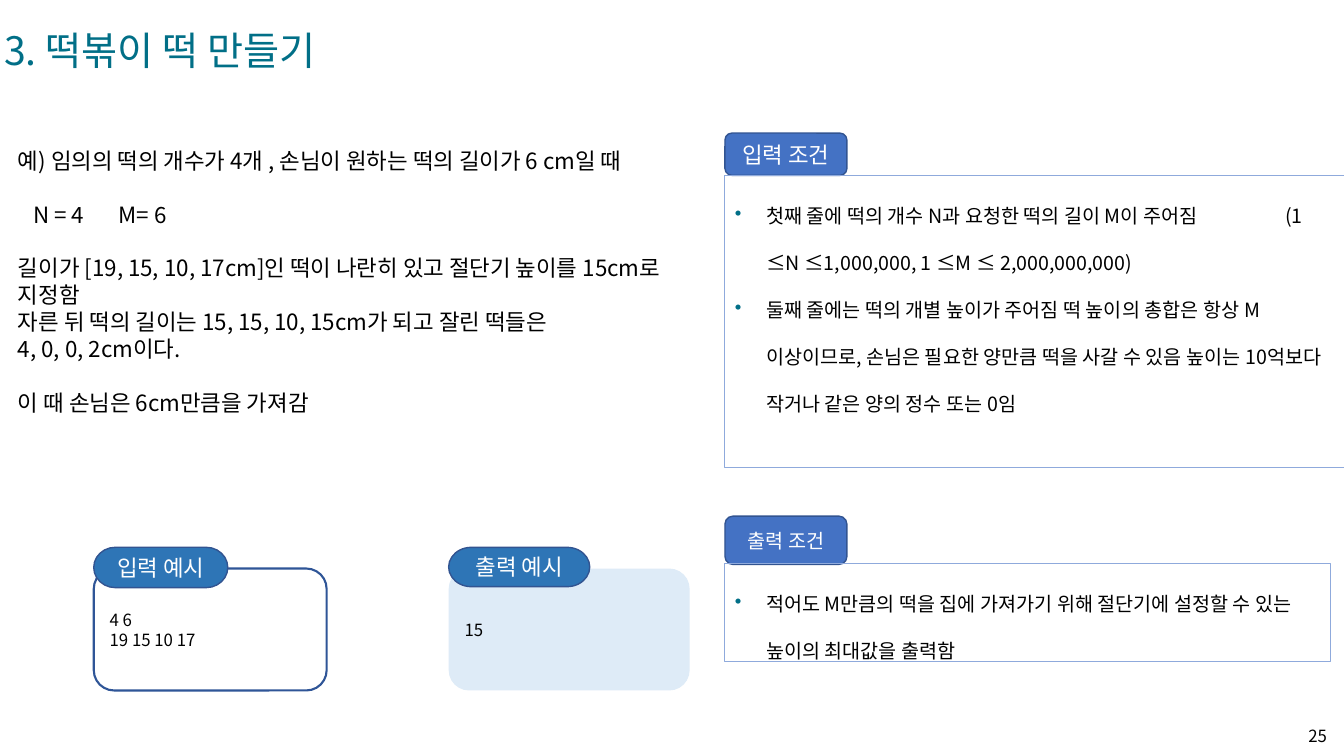
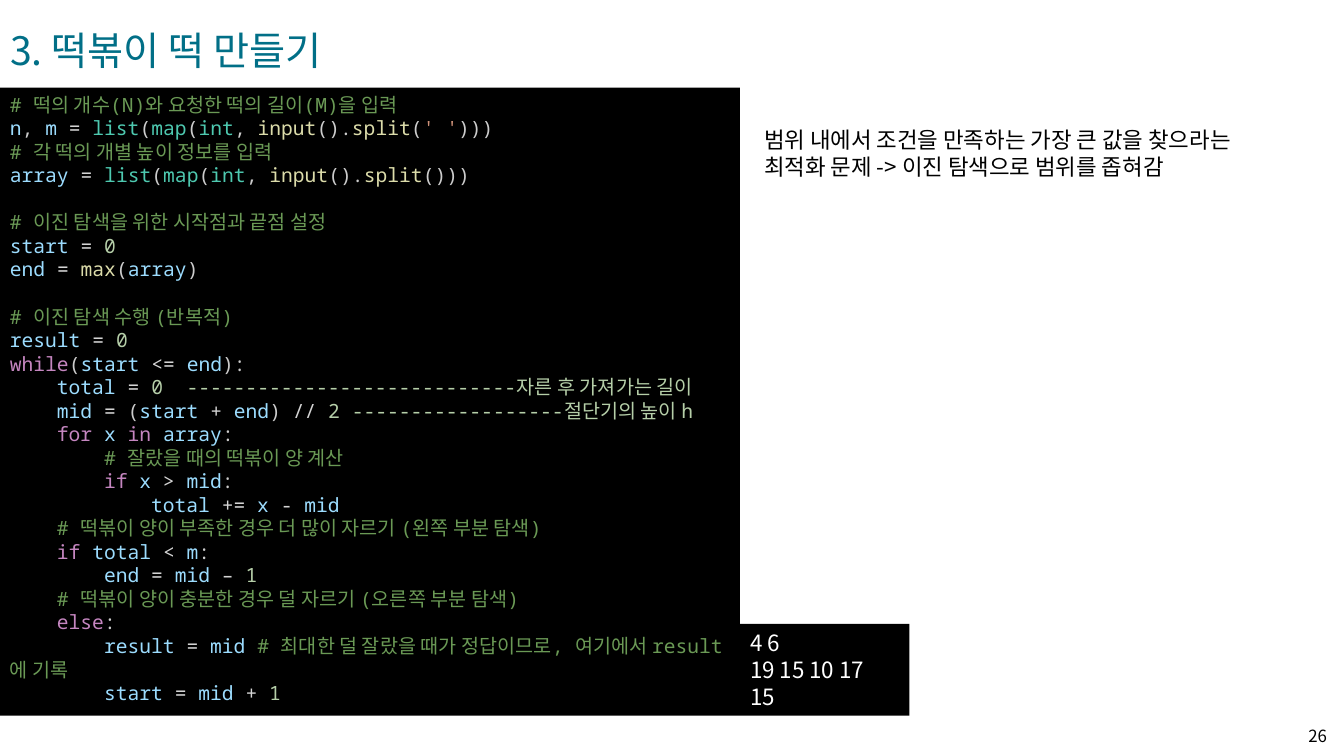
from dataclasses import dataclass, replace
from itertools import groupby
from typing import Iterator, Optional

from lxml.etree import SubElement
from pptx import Presentation
from pptx.dml.color import RGBColor
from pptx.enum.shapes import MSO_SHAPE as Preset
from pptx.enum.text import MSO_ANCHOR as Anchor, MSO_AUTO_SIZE as AutoSize, PP_ALIGN as Align
from pptx.oxml.ns import qn
from pptx.util import Inches, Length, Pt

SANS = "Noto Sans CJK KR"
MONO = "Noto Sans Mono"

BLACK = RGBColor(0x00, 0x00, 0x00)
WHITE = RGBColor(0xFF, 0xFF, 0xFF)
TEAL = RGBColor(0x01, 0x6F, 0x87)
BLUE = RGBColor(0x44, 0x72, 0xC4)
PILL_BLUE = RGBColor(0x2E, 0x75, 0xB6)
LABEL_EDGE = RGBColor(0x32, 0x54, 0x91)
CARD_EDGE = RGBColor(0x2F, 0x55, 0x97)
PANEL_EDGE = RGBColor(0x8F, 0xAA, 0xDC)
PALE_BLUE = RGBColor(0xDE, 0xEB, 0xF7)

COMMENT = RGBColor(0x6A, 0x99, 0x55)
NAME = RGBColor(0x9C, 0xDC, 0xFE)
KEYWORD = RGBColor(0xC5, 0x86, 0xC0)
TYPE = RGBColor(0x4E, 0xC9, 0xB0)
FUNCTION = RGBColor(0xDC, 0xDC, 0xAA)
NUMBER = RGBColor(0xB5, 0xCE, 0xA8)
STRING = RGBColor(0xCE, 0x91, 0x78)
OPERATOR = RGBColor(0xD4, 0xD4, 0xD4)
PUNCTUATION = RGBColor(0xCC, 0xCC, 0xCC)

WORD_COLORS = (
    dict.fromkeys(("while", "for", "in", "if", "else"), KEYWORD)
    | dict.fromkeys(("list", "map", "int"), TYPE)
    | dict.fromkeys(("input", "split", "max"), FUNCTION)
)

COLUMNS, ROWS = 133.3, 75
CELL = 0.1
LINE_RATIO = 1.2
CODE_SIZE = 14
CODE_INDENT = 4 * 0.6 * CODE_SIZE

TITLE = "3. 떡볶이 떡 만들기"

EXAMPLE = """예) 임의의 떡의 개수가 4개 , 손님이 원하는 떡의 길이가 6 cm일 때

N = 4\tM= 6

길이가 [19, 15, 10, 17cm]인 떡이 나란히 있고 절단기 높이를 15cm로 지정함
자른 뒤 떡의 길이는 15, 15, 10, 15cm가 되고 잘린 떡들은
4, 0, 0, 2cm이다.

이 때 손님은 6cm만큼을 가져감"""

INPUT_RULES = """첫째 줄에 떡의 개수 N과 요청한 떡의 길이 M이 주어짐\t(1 ≤N ≤1,000,000, 1 ≤M ≤ 2,000,000,000)
둘째 줄에는 떡의 개별 높이가 주어짐 떡 높이의 총합은 항상 M 이상이므로, 손님은 필요한 양만큼 떡을 사갈 수 있음 높이는 10억보다 작거나 같은 양의 정수 또는 0임"""

OUTPUT_RULES = "적어도 M만큼의 떡을 집에 가져가기 위해 절단기에 설정할 수 있는 높이의 최대값을 출력함"

STRATEGY = "범위 내에서 조건을 만족하는 가장 큰 값을 찾으라는 최적화 문제 -> 이진 탐색으로 범위를 좁혀감"

SOURCE_CODE = """# 떡의 개수(N)와 요청한 떡의 길이(M)을 입력
n, m = list(map(int, input().split(' ')))
# 각 떡의 개별 높이 정보를 입력
array = list(map(int, input().split()))

# 이진 탐색을 위한 시작점과 끝점 설정
start = 0
end = max(array)

# 이진 탐색 수행 (반복적)
result = 0
while(start <= end):
    total = 0  ----------------------------자른 후 가져가는 길이
    mid = (start + end) // 2 ------------------절단기의 높이 h
    for x in array:
        # 잘랐을 때의 떡볶이 양 계산
        if x > mid:
            total += x - mid
    # 떡볶이 양이 부족한 경우 더 많이 자르기 (왼쪽 부분 탐색)
    if total < m:
        end = mid – 1
    # 떡볶이 양이 충분한 경우 덜 자르기 (오른쪽 부분 탐색)
    else:
        result = mid # 최대한 덜 잘랐을 때가 정답이므로, 여기에서 result에 기록
        start = mid + 1"""


@dataclass(frozen=True)
class Area:
    column: float
    row: float
    columns: float
    rows: float

    def lengths(self) -> list[Length]:
        return [Inches(CELL * cells) for cells in (self.column, self.row, self.columns, self.rows)]


@dataclass(frozen=True)
class TextStyle:
    size: float = 16
    color: RGBColor = BLACK
    font: str = SANS
    align: Align = Align.LEFT
    anchor: Anchor = Anchor.TOP
    spacing: float = 1
    bullet: bool = False
    tab: Optional[float] = None


@dataclass(frozen=True)
class Look:
    preset: Preset
    text: TextStyle
    fill: Optional[RGBColor] = None
    edge: Optional[RGBColor] = None
    edge_width: float = 1


@dataclass(frozen=True)
class Block:
    area: Area
    look: Look
    text: str


TITLE_STYLE = TextStyle(28, TEAL)
BODY = TextStyle()
NUMBER_STYLE = TextStyle(12, align=Align.RIGHT, anchor=Anchor.MIDDLE)
CARD_TEXT = TextStyle(12, anchor=Anchor.MIDDLE)
LABEL_TEXT = TextStyle(16, WHITE, align=Align.CENTER, anchor=Anchor.MIDDLE)
RULE_TEXT = TextStyle(14, spacing=2, bullet=True, tab=5.46)
CODE_STYLE = TextStyle(CODE_SIZE, font=MONO)

INPUT_CARD = Look(Preset.ROUNDED_RECTANGLE, CARD_TEXT, WHITE, CARD_EDGE, 1.5)
OUTPUT_CARD = Look(Preset.ROUNDED_RECTANGLE, CARD_TEXT, PALE_BLUE)
PILL = Look(Preset.FLOWCHART_TERMINATOR, LABEL_TEXT, PILL_BLUE, LABEL_EDGE)
TAB = Look(Preset.ROUNDED_RECTANGLE, LABEL_TEXT, BLUE, LABEL_EDGE)
SMALL_TAB = replace(TAB, text=replace(LABEL_TEXT, size=14))
PANEL = Look(Preset.RECTANGLE, RULE_TEXT, edge=PANEL_EDGE, edge_width=0.75)
CONSOLE = Look(Preset.RECTANGLE, TextStyle(16, WHITE), BLACK)

CONDITIONS = (
    Block(Area(9.3, 56.4, 23.1, 12.1), INPUT_CARD, "4 6\n19 15 10 17"),
    Block(Area(9.3, 54.3, 13.3, 4), PILL, "입력 예시"),
    Block(Area(44.5, 56.4, 23.9, 12.1), OUTPUT_CARD, "15"),
    Block(Area(44.5, 54.3, 14, 3.9), PILL, "출력 예시"),
    Block(Area(71.9, 13.2, 12.1, 4.2), TAB, "입력 조건"),
    Block(Area(71.9, 17.4, 61.5, 29), PANEL, INPUT_RULES),
    Block(Area(71.9, 51.2, 12.1, 4.8), SMALL_TAB, "출력 조건"),
    Block(Area(71.9, 55.9, 60.1, 9.7), PANEL, OUTPUT_RULES),
)


def format_run(run, style: TextStyle, color: RGBColor) -> None:
    run.font.size = Pt(style.size)
    run.font.name = style.font
    run.font.color.rgb = color
    SubElement(run.font._element, qn("a:ea")).set("typeface", SANS)


def format_paragraph(paragraph, style: TextStyle, gap_lines: int = 0) -> None:
    line_height = LINE_RATIO * style.size
    paragraph.alignment = style.align
    paragraph.line_spacing = Pt(style.spacing * line_height)
    paragraph.space_before = Pt(gap_lines * line_height)
    properties = paragraph._p.get_or_add_pPr()
    if style.bullet:
        properties.set("marL", str(Inches(0.31)))
        properties.set("indent", str(-Inches(0.31)))
        bullet_color = SubElement(properties, qn("a:buClr"))
        SubElement(bullet_color, qn("a:srgbClr")).set("val", str(TEAL))
        SubElement(properties, qn("a:buChar")).set("char", "•")
    if style.tab and "\t" in paragraph.text:
        stop = SubElement(SubElement(properties, qn("a:tabLst")), qn("a:tab"))
        stop.set("pos", str(Inches(style.tab)))
        stop.set("algn", "l")
    for run in paragraph.runs:
        format_run(run, style, style.color)


def prepare_frame(text_frame, style: TextStyle) -> None:
    text_frame.word_wrap = True
    text_frame.auto_size = AutoSize.NONE
    text_frame.vertical_anchor = style.anchor


def spaced_lines(text: str) -> Iterator[tuple[int, str]]:
    gap = 0
    for line in text.splitlines():
        if line:
            yield gap, line
        gap = 0 if line else gap + 1


def paragraph_slots(text_frame) -> Iterator:
    yield text_frame.paragraphs[0]
    while True:
        yield text_frame.add_paragraph()


def write(text_frame, text: str, style: TextStyle) -> None:
    prepare_frame(text_frame, style)
    for (gap, line), paragraph in zip(spaced_lines(text), paragraph_slots(text_frame)):
        paragraph.text = line
        format_paragraph(paragraph, style, gap)


def add_text(slide, area: Area, text: str, style: TextStyle):
    shape = slide.shapes.add_textbox(*area.lengths())
    write(shape.text_frame, text, style)
    return shape


def add_block(slide, block: Block):
    look = block.look
    shape = slide.shapes.add_shape(look.preset, *block.area.lengths())
    shape.shadow.inherit = False
    if look.fill is None:
        shape.fill.background()
    else:
        shape.fill.solid()
        shape.fill.fore_color.rgb = look.fill
    if look.edge is None:
        shape.line.fill.background()
    else:
        shape.line.color.rgb = look.edge
        shape.line.width = Pt(look.edge_width)
    write(shape.text_frame, block.text, look.text)
    return shape


def character_color(character: str) -> RGBColor:
    if character.isalnum():
        return NAME
    if character == "'":
        return STRING
    return OPERATOR if character in "=<>+-–/" else PUNCTUATION


def code_tokens(line: str) -> Iterator[tuple[str, RGBColor]]:
    starts = [line.find(mark) for mark in ("#", "--") if mark in line]
    split = min(starts, default=len(line))
    for color, characters in groupby(line[:split], key=character_color):
        token = "".join(characters)
        yield token, NUMBER if token.isdigit() else WORD_COLORS.get(token, color)
    if note := line[split:]:
        yield note, COMMENT if note.startswith("#") else NUMBER


def write_code(text_frame, source: str) -> None:
    prepare_frame(text_frame, CODE_STYLE)
    for (gap, line), paragraph in zip(spaced_lines(source), paragraph_slots(text_frame)):
        statement = line.lstrip()
        depth = (len(line) - len(statement)) // 4
        format_paragraph(paragraph, CODE_STYLE, gap)
        paragraph._p.get_or_add_pPr().set("indent", str(Pt(depth * CODE_INDENT)))
        for token, color in code_tokens(statement):
            run = paragraph.add_run()
            run.text = token
            format_run(run, CODE_STYLE, color)


def add_titled_slide(presentation, title_area: Area, number: int):
    slide = presentation.slides.add_slide(presentation.slide_layouts.get_by_name("Title Only"))
    title = slide.shapes.title
    title.left, title.top, title.width, title.height = title_area.lengths()
    write(title.text_frame, TITLE, TITLE_STYLE)
    add_text(slide, Area(126.9, 71, 5.7, 4), str(number), NUMBER_STYLE)
    return slide


def build_problem(presentation) -> None:
    slide = add_titled_slide(presentation, Area(-0.6, 2.1, 57.6, 5.6), 25)
    for block in CONDITIONS:
        add_block(slide, block)
    example = add_text(slide, Area(0.8, 14.1, 70.5, 33.3), EXAMPLE, replace(BODY, tab=1.05))
    values = example.text_frame.paragraphs[1]
    values._p.get_or_add_pPr().set("indent", str(Inches(0.15)))


def build_solution(presentation) -> None:
    slide = add_titled_slide(presentation, Area(0, 2.1, 112.1, 5.6), 26)
    editor = add_block(slide, Block(Area(0, 8.7, 73.4, 62.3), CONSOLE, ""))
    write_code(editor.text_frame, SOURCE_CODE)
    add_text(slide, Area(74.8, 12, 54.7, 6.4), STRATEGY, BODY)
    add_block(slide, Block(Area(73.4, 61.9, 16.8, 9.1), CONSOLE, "4 6\n19 15 10 17\n15"))


def main() -> None:
    presentation = Presentation()
    presentation.slide_width = Inches(CELL * COLUMNS)
    presentation.slide_height = Inches(CELL * ROWS)
    build_problem(presentation)
    build_solution(presentation)
    presentation.save("out.pptx")


if __name__ == "__main__":
    main()
